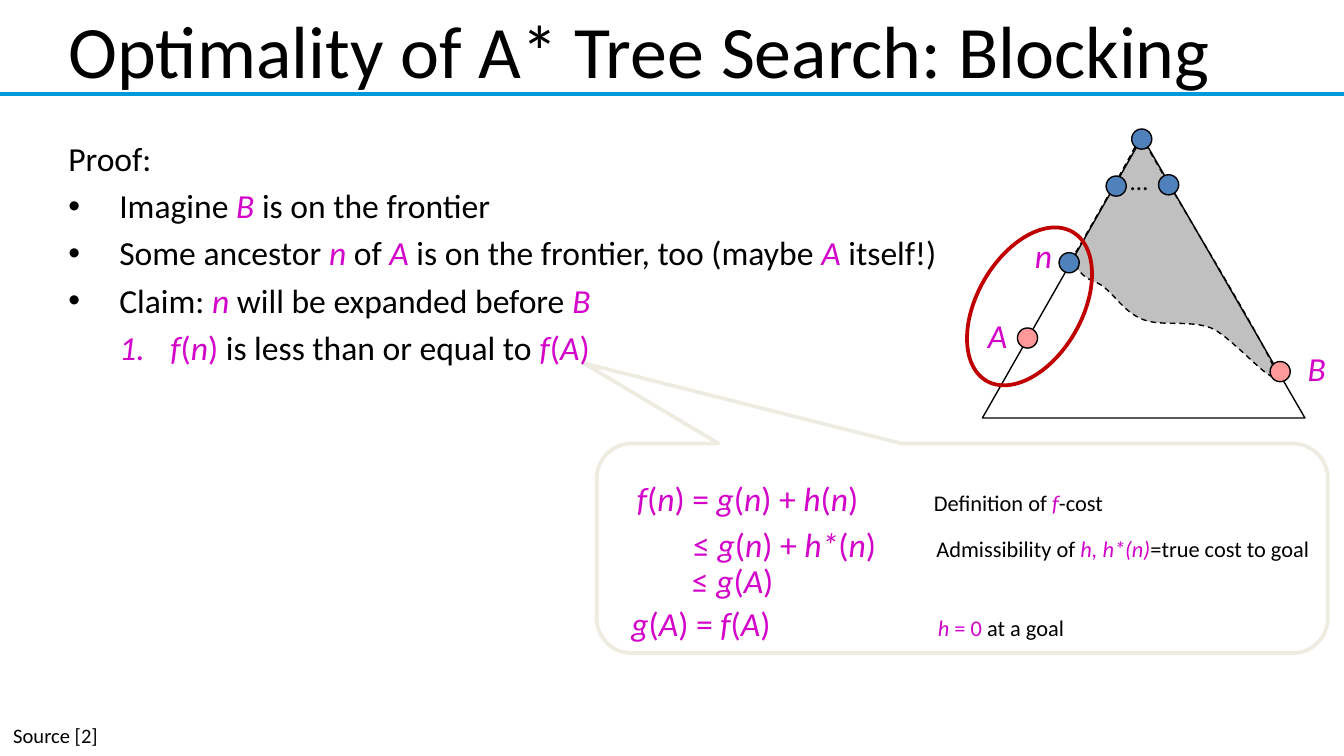
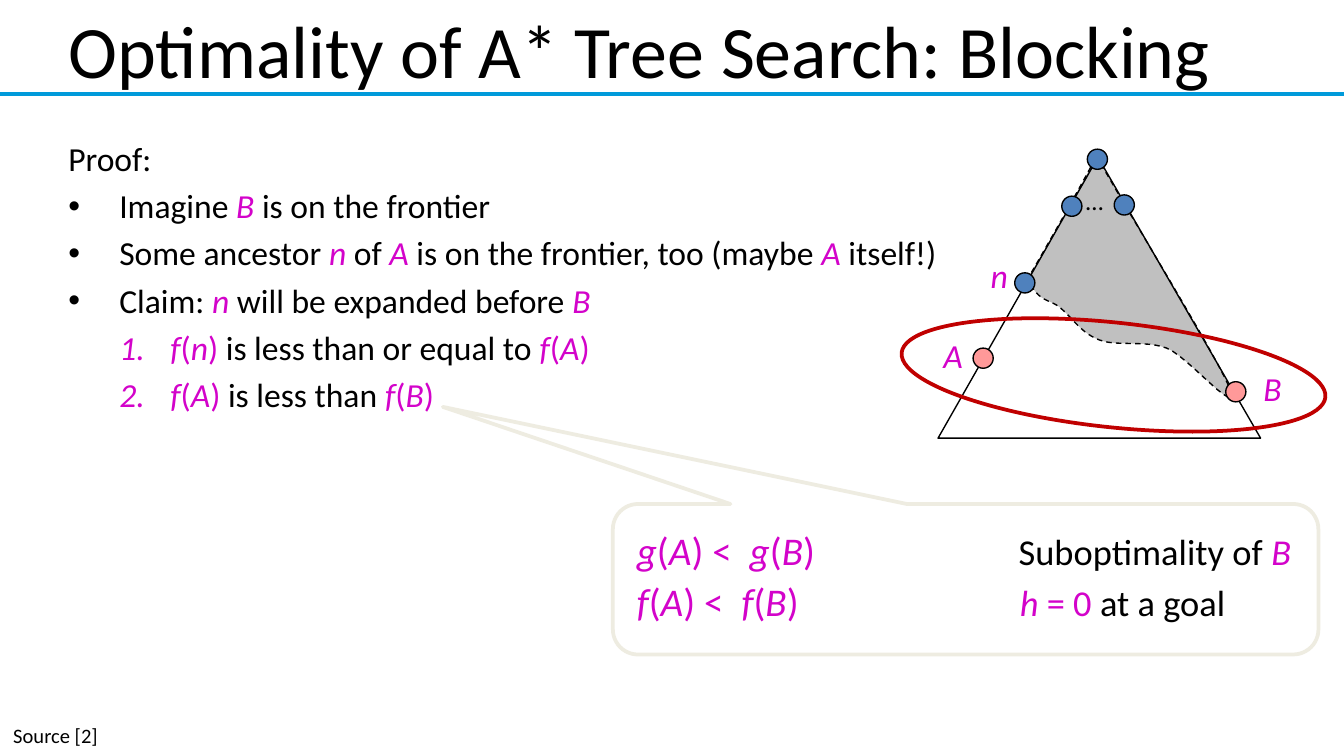
"""Build two slides on why A* tree search expands n before the suboptimal goal B."""
from dataclasses import dataclass
from typing import Iterator, NamedTuple

from lxml import etree
from pptx import Presentation
from pptx.dml.color import RGBColor
from pptx.enum.dml import MSO_LINE
from pptx.enum.shapes import MSO_CONNECTOR, MSO_SHAPE
from pptx.enum.text import MSO_ANCHOR, MSO_AUTO_SIZE, PP_ALIGN
from pptx.oxml.ns import qn
from pptx.util import Inches, Pt

STRAIGHT = MSO_CONNECTOR.STRAIGHT
OVAL = MSO_SHAPE.OVAL
CALLOUT = MSO_SHAPE.ROUNDED_RECTANGULAR_CALLOUT
DASH = MSO_LINE.DASH
MIDDLE = MSO_ANCHOR.MIDDLE
LEFT = PP_ALIGN.LEFT
FIT_SHAPE = MSO_AUTO_SIZE.SHAPE_TO_FIT_TEXT
NO_FIT = MSO_AUTO_SIZE.NONE


@dataclass(frozen=True)
class Theme:
    font: str = "Calibri"
    ink: str = "000000"
    symbol: str = "D303CA"
    rule: str = "009ADA"
    paper: str = "FFFFFF"
    callout: str = "EEECE1"
    explored: str = "C0C0C0"
    node: str = "4F81BD"
    goal: str = "FF9999"
    highlight: str = "C00000"
    title_size: float = 39.6
    body_size: float = 18
    dots_size: float = 13.5
    source_size: float = 11
    thin: float = 0.75
    thick: float = 2


THEME = Theme()


class Box(NamedTuple):
    left: float
    top: float
    width: float
    height: float


class Point(NamedTuple):
    x: float
    y: float


class Span(NamedTuple):
    text: str
    symbol: bool
    italic: bool


class ProofLine(NamedTuple):
    text: str
    bullet: str = ""


class Node(NamedTuple):
    left: float
    top: float
    color: str


class Label(NamedTuple):
    text: str
    box: Box


class Highlight(NamedTuple):
    box: Box
    rotation: float


class Row(NamedTuple):
    left: float
    top: float
    formula: str
    note: str = ""
    tabs: tuple[float, ...] = ()


@dataclass(frozen=True)
class Callout:
    box: Box
    tip: tuple[float, float]
    rows: list[Row]
    formula_size: float
    note_size: float


@dataclass(frozen=True)
class ProofSlide:
    lines: list[ProofLine]
    tree_origin: Point
    highlight: Highlight
    callout: Callout


TITLE = "Optimality of A* Tree Search: Blocking"
SLIDE_WIDTH = 10
RULE_Y = 0.7
NODE_SIZE = 0.15
INDENT = 0.38
LABEL_INSETS = (0.07, 0.04)

FRONTIER_START = Point(8.48, 1.03)
FRONTIER_CURVES = [
    (Point(8.4, 1.18), Point(8.23, 1.49), Point(7.98, 1.92)),
    (Point(8.05, 2.11), Point(8.15, 2.07), Point(8.23, 2.15)),
    (Point(8.32, 2.23), Point(8.38, 2.33), Point(8.51, 2.38)),
    (Point(8.64, 2.43), Point(8.85, 2.38), Point(9.01, 2.44)),
    (Point(9.17, 2.5), Point(9.56, 2.98), Point(9.48, 2.74)),
    (Point(9.39, 2.51), Point(8.7, 1.39), Point(8.5, 1.03)),
]
TRIANGLE = [Point(7.31, 3.11), Point(9.71, 3.11), Point(8.5, 1.02)]
NODES = [
    Node(8.23, 1.31, THEME.node),
    Node(8.62, 1.3, THEME.node),
    Node(9.45, 2.69, THEME.goal),
    Node(7.57, 2.44, THEME.goal),
    Node(8.42, 0.96, THEME.node),
    Node(7.88, 1.88, THEME.node),
]
LABELS = [
    Label("~_A_~", Box(7.28, 2.3, 0.3, 0.38)),
    Label("~_B_~", Box(9.66, 2.55, 0.29, 0.38)),
    Label("~_n_~", Box(7.63, 1.71, 0.28, 0.38)),
]
DOTS = Label("…", Box(8.34, 1.19, 0.23, 0.3))

CLAIM = [
    ProofLine("Proof:"),
    ProofLine("Imagine ~_B_~ is on the frontier", "dot"),
    ProofLine("Some ancestor ~_n_~ of ~_A_~ is on the frontier, too (maybe ~_A_~ itself!)", "dot"),
    ProofLine("Claim: ~_n_~ will be expanded before ~_B_~", "dot"),
    ProofLine("~_f_(_n_) ~is less than or equal to ~_f_(_A_)~", "number"),
]
SLIDES = [
    ProofSlide(
        CLAIM,
        Point(0, 0),
        Highlight(Box(7.27, 1.64, 0.78, 1.28), 30),
        Callout(Box(4.44, 3.3, 5.44, 1.56), (-0.518, -0.883), [
            Row(4.64, 3.51, "~_f_(_n_) = _g_(_n_) + _h_(_n_)~", "Definition of ~_f_~-cost", (2.21,)),
            Row(5.06, 3.85, "~≤ _g_(_n_) + _h*_(_n_)~",
                "Admissibility of ~_h, h*(n)_~=true cost to goal", (1.81,)),
            Row(5.05, 4.12, "~≤ _g_(_A_)~"),
            Row(4.6, 4.44, "~_g_(_A_) = _f_(_A_)~", "~_h_ = 0 ~at a goal", (2.28,)),
        ], 18, 12),
    ),
    ProofSlide(
        CLAIM + [ProofLine("~_f_(_A_) ~is less than ~_f_(_B_)~", "number")],
        Point(-0.33, 0.15),
        Highlight(Box(6.7, 2.4, 3.17, 0.78), 6),
        Callout(Box(4.56, 3.75, 5.25, 1.12), (-0.741, -1.145), [
            Row(4.64, 3.87, "~_g_(_A_) <\t_g_(_B_)~", "Suboptimality of ~_B_~", (0.84, 2.84)),
            Row(4.64, 4.25, "~_f_(_A_) <\t_f_(_B_)~", "~_h_ = 0 ~at a goal", (0.78, 2.85)),
        ], 21, 19.5),
    ),
]


def parse_spans(markup: str) -> Iterator[Span]:
    """Split text where ~ toggles the symbol colour and _ toggles italics."""
    for color_index, part in enumerate(markup.split("~")):
        for italic_index, text in enumerate(part.split("_")):
            if text:
                yield Span(text, color_index % 2 == 1, italic_index % 2 == 1)


def add_runs(paragraph, markup: str, size: float) -> None:
    """Add the marked-up text run by run."""
    for span in parse_spans(markup):
        run = paragraph.add_run()
        run.text = span.text
        run.font.name = THEME.font
        run.font.size = Pt(size)
        run.font.italic = span.italic
        run.font.color.rgb = RGBColor.from_string(THEME.symbol if span.symbol else THEME.ink)


def box_lengths(box: Box) -> list[int]:
    """Convert a box to lengths."""
    return [Inches(value) for value in box]


def shift_box(box: Box, origin: Point) -> Box:
    """Move a box by the origin of its drawing."""
    return box._replace(left=box.left + origin.x, top=box.top + origin.y)


def add_text_box(slide, box: Box, insets: tuple[float, float] = (0.1, 0.05), wrap: bool = True):
    """Add an empty text box and return its frame."""
    frame = slide.shapes.add_textbox(*box_lengths(box)).text_frame
    frame.word_wrap = wrap
    frame.auto_size = FIT_SHAPE
    frame.margin_left = frame.margin_right = Inches(insets[0])
    frame.margin_top = frame.margin_bottom = Inches(insets[1])
    return frame


def style_shape(shape, fill: str, line: str, width: float) -> None:
    """Set fill and outline; an empty fill leaves the shape open."""
    shape.shadow.inherit = False
    if fill:
        shape.fill.solid()
        shape.fill.fore_color.rgb = RGBColor.from_string(fill)
    else:
        shape.fill.background()
    shape.line.color.rgb = RGBColor.from_string(line)
    shape.line.width = Pt(width)


def add_outline(slide, points: list[Point], origin: Point, close: bool):
    """Draw a path through the points."""
    lengths = [(Inches(point.x + origin.x), Inches(point.y + origin.y)) for point in points]
    builder = slide.shapes.build_freeform(*lengths[0])
    builder.add_line_segments(lengths[1:], close=close)
    return builder.convert_to_shape()


def frontier_points(steps: int = 12) -> list[Point]:
    """Sample the cubic curves around the explored region."""
    points = [FRONTIER_START]
    for curve in FRONTIER_CURVES:
        controls = (points[-1], *curve)
        for step in range(1, steps + 1):
            t = step / steps
            weights = ((1 - t) ** 3, 3 * t * (1 - t) ** 2, 3 * t * t * (1 - t), t ** 3)
            points.append(Point(
                sum(weight * point.x for weight, point in zip(weights, controls)),
                sum(weight * point.y for weight, point in zip(weights, controls)),
            ))
    return points


def add_frame(presentation):
    """Add a slide with its title, rule and source."""
    slide = presentation.slides.add_slide(presentation.slide_layouts[5])
    rule = slide.shapes.add_connector(
        STRAIGHT, 0, Inches(RULE_Y), presentation.slide_width, Inches(RULE_Y))
    rule.line.color.rgb = RGBColor.from_string(THEME.rule)
    rule.line.width = Pt(THEME.thick)
    etree.SubElement(rule._element.spPr, qn("a:effectLst"))
    title = slide.shapes.title
    title.left, title.top, title.width, title.height = box_lengths(Box(0.41, 0.11, 9, 0.51))
    frame = title.text_frame
    frame.word_wrap, frame.auto_size, frame.vertical_anchor = True, NO_FIT, MIDDLE
    frame.paragraphs[0].alignment = LEFT
    add_runs(frame.paragraphs[0], TITLE, THEME.title_size)
    source = add_text_box(slide, Box(0, 5.33, 0.84, 0.29), wrap=False)
    add_runs(source.paragraphs[0], "Source [2]", THEME.source_size)
    return slide


def add_proof(slide, lines: list[ProofLine]) -> None:
    """Write the proof as bullets and numbered claims."""
    frame = add_text_box(slide, Box(0.41, 0.98, 9, 3.79))
    frame.auto_size = NO_FIT
    for index, line in enumerate(lines):
        paragraph = frame.add_paragraph() if index else frame.paragraphs[0]
        paragraph.level = int(line.bullet == "number")
        properties = paragraph._p.get_or_add_pPr()
        properties.set("marL", str(Inches(INDENT * (paragraph.level + 1))))
        properties.set("indent", str(-Inches(INDENT)))
        if line.bullet == "dot":
            etree.SubElement(properties, qn("a:buFont"), typeface="Arial")
            etree.SubElement(properties, qn("a:buChar"), char="•")
        elif line.bullet == "number":
            etree.SubElement(properties, qn("a:buAutoNum"), type="arabicPeriod")
        if index:
            paragraph.space_before = Pt(THEME.body_size * 0.2)
        add_runs(paragraph, line.text, THEME.body_size)


def add_callout(slide, callout: Callout) -> None:
    """Draw the callout with its formulas and notes."""
    shape = slide.shapes.add_shape(CALLOUT, *box_lengths(callout.box))
    for index, value in enumerate((*callout.tip, 0.167)):
        shape.adjustments[index] = value
    style_shape(shape, THEME.paper, THEME.callout, THEME.thick)
    for row in callout.rows:
        frame = add_text_box(slide, Box(row.left, row.top, SLIDE_WIDTH - row.left, 0.4))
        paragraph = frame.paragraphs[0]
        if row.tabs:
            tab_list = etree.SubElement(paragraph._p.get_or_add_pPr(), qn("a:tabLst"))
            for position in row.tabs:
                etree.SubElement(tab_list, qn("a:tab"), pos=str(Inches(position)), algn="l")
        add_runs(paragraph, row.formula, callout.formula_size)
        if row.note:
            add_runs(paragraph, "\t" + row.note, callout.note_size)


def add_tree(slide, origin: Point, highlight: Highlight) -> None:
    """Draw the search tree and ring the compared nodes."""
    explored = add_outline(slide, frontier_points(), origin, False)
    style_shape(explored, THEME.explored, THEME.ink, THEME.thin)
    explored.line.dash_style = DASH
    style_shape(add_outline(slide, TRIANGLE, origin, True), "", THEME.ink, THEME.thin)
    for node in NODES:
        box = shift_box(Box(node.left, node.top, NODE_SIZE, NODE_SIZE), origin)
        style_shape(slide.shapes.add_shape(OVAL, *box_lengths(box)), node.color, THEME.ink, THEME.thin)
    for label in (DOTS, *LABELS):
        frame = add_text_box(slide, shift_box(label.box, origin), LABEL_INSETS, label is DOTS)
        add_runs(frame.paragraphs[0], label.text, THEME.dots_size if label is DOTS else THEME.body_size)
    ring = slide.shapes.add_shape(OVAL, *box_lengths(highlight.box))
    ring.rotation = highlight.rotation
    style_shape(ring, "", THEME.highlight, THEME.thick)


def main() -> None:
    """Build and save the presentation."""
    presentation = Presentation()
    presentation.slide_width = Inches(SLIDE_WIDTH)
    presentation.slide_height = Inches(SLIDE_WIDTH * 9 / 16)
    for content in SLIDES:
        slide = add_frame(presentation)
        add_callout(slide, content.callout)
        add_proof(slide, content.lines)
        add_tree(slide, content.tree_origin, content.highlight)
    presentation.save("out.pptx")


if __name__ == "__main__":
    main()
